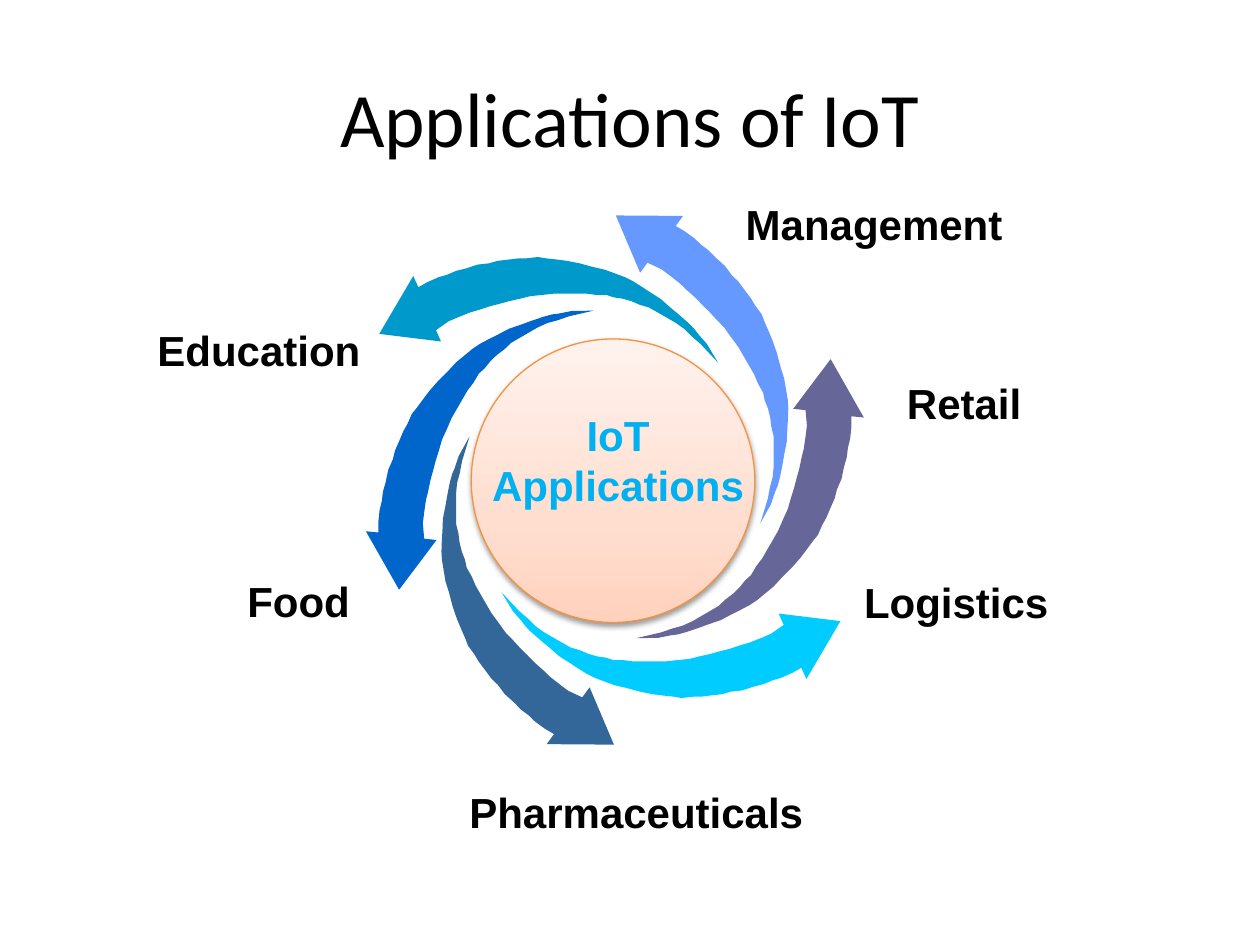
import copy

import pptx
import pptx.dml.color
import pptx.enum.shapes
import pptx.enum.text
import pptx.oxml
import pptx.oxml.ns
import pptx.util

Inches = pptx.util.Inches
Pt = pptx.util.Pt
ALIGN = pptx.enum.text.PP_ALIGN
ANCHOR = pptx.enum.text.MSO_ANCHOR
GROW = pptx.enum.text.MSO_AUTO_SIZE.SHAPE_TO_FIT_TEXT

COLORS = {
    "text": "000000",
    "hub_text": "00B0F0",
    "hub_line": "F69240",
    "hub_bottom": "FFD2BD",
    "hub_middle": "FFDED0",
    "hub_top": "FFF2ED",
    "logistics": "00CCFF",
    "pharmaceuticals": "336699",
    "food": "0066CC",
    "education": "0099CC",
    "management": "6699FF",
    "retail": "666699",
}

# Hundredths of an inch, from the arrow's top left corner.
ARROW_OUTLINE = [
    (224, 26), (220, 17), (269, 23), (242, 69), (238, 60), (231, 64), (222, 68),
    (215, 70), (208, 73), (200, 75), (191, 78), (182, 79), (175, 81), (166, 82),
    (158, 83), (152, 83), (143, 84), (137, 83), (128, 82), (120, 81), (110, 79),
    (99, 76), (90, 74), (82, 71), (74, 68), (68, 65), (60, 60), (54, 56),
    (46, 51), (38, 44), (32, 39), (24, 32), (19, 27), (16, 23), (9, 15),
    (0, 0), (14, 15), (21, 21), (27, 27), (34, 32), (41, 36), (48, 40),
    (55, 44), (62, 46), (69, 49), (76, 51), (83, 52), (89, 54), (97, 54),
    (105, 55), (112, 55), (120, 55), (130, 55), (139, 54), (149, 53), (157, 51),
    (166, 49), (173, 47), (181, 45), (190, 42), (197, 40), (207, 36), (214, 33),
]

ARROWS = [
    ("logistics", 3.98, 4.7),
    ("pharmaceuticals", 2.69, 4.42),
    ("food", 2.33, 3),
    ("education", 3.01, 2.04),
    ("management", 4.38, 2.36),
    ("retail", 4.74, 3.69),
]

LABELS = [
    ("Education", (1.07, 2.53, 1.97, 0.5), ALIGN.CENTER, False),
    ("Food", (1.83, 4.52, 1.08, 0.5), ALIGN.CENTER, False),
    ("Management", (5.82, 1.53, 2.67, 0.5), ALIGN.LEFT, True),
    ("Retail", (7.1, 2.95, 1.23, 0.5), ALIGN.LEFT, False),
    ("Logistics", (6.76, 4.53, 1.74, 0.5), ALIGN.LEFT, False),
    ("Pharmaceuticals", (3.61, 6.19, 2.88, 0.5), ALIGN.CENTER, False),
]


def rgb(key):
    return pptx.dml.color.RGBColor.from_string(COLORS[key])


def apply_format(target, values):
    for attribute, value in values.items():
        setattr(target, attribute, value)


def add_text(slide, text, box, align, frame_format, font_format, color="text"):
    label = slide.shapes.add_textbox(*map(Inches, box))
    apply_format(label.text_frame, frame_format)
    paragraph = label.text_frame.paragraphs[0]
    paragraph.alignment = align
    run = paragraph.add_run()
    run.text = text
    apply_format(run.font, font_format)
    run.font.color.rgb = rgb(color)


def add_arrow(slide, color, left, top, angle):
    start, *rest = ARROW_OUTLINE
    builder = slide.shapes.build_freeform(*start, scale=Inches(0.01))
    builder.add_line_segments(rest, close=True)
    arrow = builder.convert_to_shape(Inches(left), Inches(top))
    arrow.rotation = angle
    arrow.shadow.inherit = False
    arrow.fill.solid()
    arrow.fill.fore_color.rgb = rgb(color)
    arrow.line.fill.background()


def add_hub(slide):
    hub = slide.shapes.add_shape(
        pptx.enum.shapes.MSO_SHAPE.OVAL,
        Inches(3.74), Inches(2.69), Inches(2.25), Inches(2.25),
    )
    hub.line.color.rgb = rgb("hub_line")
    hub.line.width = Pt(0.75)
    hub.fill.gradient()
    hub.fill.gradient_angle = 90
    stop_list = hub.fill._fill._gradFill.find(pptx.oxml.ns.qn("a:gsLst"))
    stop_list.insert(1, copy.deepcopy(stop_list[0]))
    stops = [("hub_bottom", 0), ("hub_middle", 0.35), ("hub_top", 1)]
    for stop, (color, position) in zip(hub.fill.gradient_stops, stops):
        stop.color.rgb = rgb(color)
        stop.position = position
    hub.shadow.inherit = False
    effects = hub._element.spPr.find(pptx.oxml.ns.qn("a:effectLst"))
    effects.append(pptx.oxml.parse_xml(
        f'<a:outerShdw {pptx.oxml.ns.nsdecls("a")} blurRad="{Pt(3.1)}" '
        f'dist="{Pt(1.6)}" dir="5400000" rotWithShape="0">'
        '<a:srgbClr val="000000"><a:alpha val="38000"/></a:srgbClr></a:outerShdw>'
    ))


def main():
    deck = pptx.Presentation()
    deck.slide_width, deck.slide_height = Inches(10), Inches(7.5)
    slide = deck.slides.add_slide(deck.slide_layouts[6])

    add_text(
        slide, "Applications of IoT", (0.5, 0.3, 9, 1.25), ALIGN.CENTER,
        {"word_wrap": True, "vertical_anchor": ANCHOR.MIDDLE},
        {"name": "Calibri", "size": Pt(44)},
    )
    for step, (color, left, top) in enumerate(ARROWS):
        add_arrow(slide, color, left, top, 60 * step)
    add_hub(slide)

    label_font = {"name": "Arial", "size": Pt(24), "bold": True}
    for text, box, align, wrap in LABELS:
        add_text(slide, text, box, align,
                 {"word_wrap": wrap, "auto_size": GROW}, label_font)
    hub_frame = {
        "word_wrap": True, "auto_size": GROW, "margin_left": 0,
        "margin_right": 0, "margin_top": 0, "margin_bottom": Inches(0.1),
    }
    add_text(slide, "IoT Applications", (3.81, 3.25, 2.19, 0.91), ALIGN.CENTER,
             hub_frame, label_font, "hub_text")

    deck.save("out.pptx")


if __name__ == "__main__":
    main()
